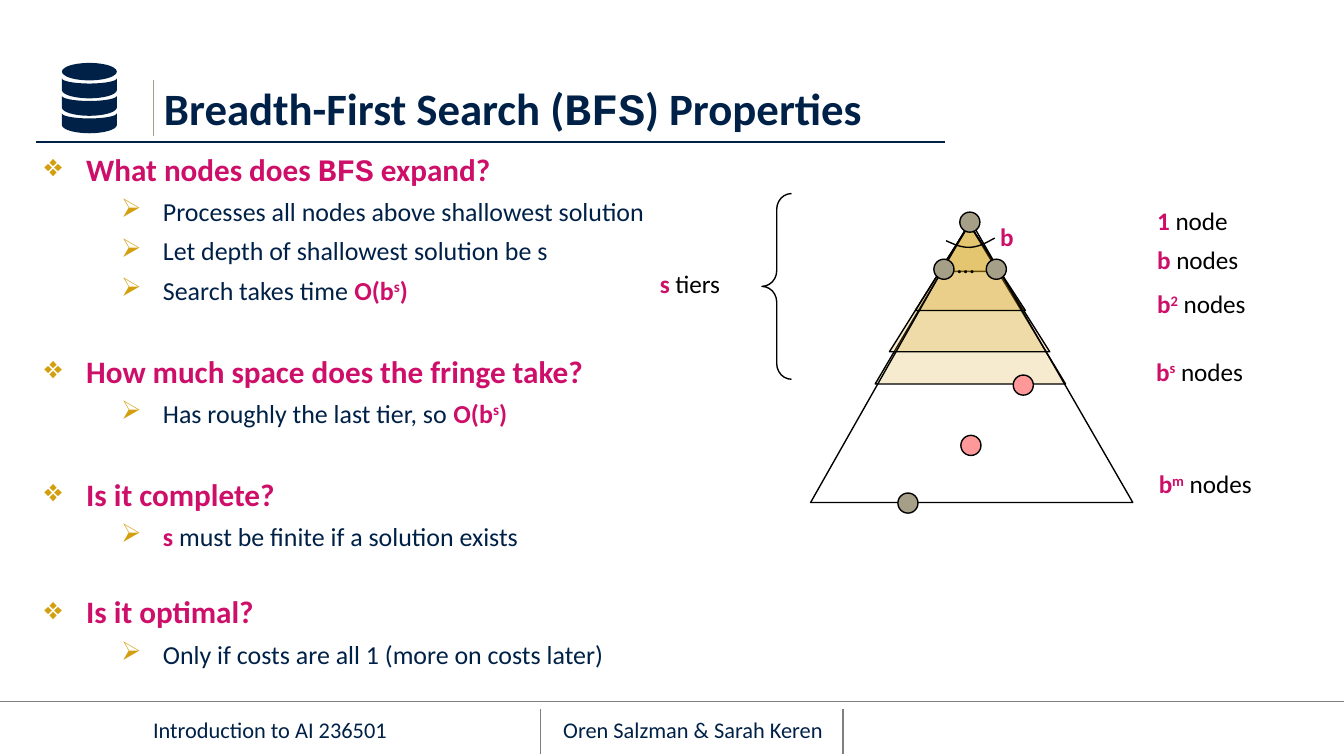
from math import cos, pi, sin

from lxml import etree
from pptx import Presentation
from pptx.dml.color import RGBColor
from pptx.enum.shapes import MSO_CONNECTOR, MSO_SHAPE
from pptx.enum.text import MSO_ANCHOR, PP_ALIGN
from pptx.oxml.ns import qn
from pptx.util import Cm, Pt

STRAIGHT = MSO_CONNECTOR.STRAIGHT
RECTANGLE, OVAL, BRACE = MSO_SHAPE.RECTANGLE, MSO_SHAPE.OVAL, MSO_SHAPE.LEFT_BRACE
TOP, MIDDLE, BOTTOM = MSO_ANCHOR.TOP, MSO_ANCHOR.MIDDLE, MSO_ANCHOR.BOTTOM
LEFT, CENTER = PP_ALIGN.LEFT, PP_ALIGN.CENTER

NAVY, PINK, GOLD, STONE, ROSE = "002147", "CE0F69", "D49F0F", "A69F88", "FF9999"
BLACK, WHITE, GRAY = "000000", "FFFFFF", "7F7F7F"
FONT, CODE_FONT, BULLET_FONT = "Calibri", "Courier New", "OpenSymbol"
LABEL_INSETS = (0.18, 0.1, 0.18, 0.1)

BODY = [
    ("❖", 0, [("What nodes does ", ""), ("BFS", "code"), (" expand?", "")]),
    ("➢", 6, [("Processes all nodes above shallowest solution", "")]),
    ("➢", 6, [("Let depth of shallowest solution be s", "")]),
    ("➢", 6, [("Search takes time ", ""), ("O(b", "key"), ("s", "power"), (")", "key")]),
    ("❖", 27, [("How much space does the fringe take?", "")]),
    ("➢", 6, [("Has roughly the last tier, so ", ""), ("O(b", "key"), ("s", "power"), (")", "key")]),
    ("❖", 27, [("Is it complete?", "")]),
    ("➢", 6, [("s", "key"), (" must be finite if a solution exists", "")]),
    ("❖", 24, [("Is it optimal?", "")]),
    ("➢", 6, [("Only if costs are all 1 (more on costs later)", "")]),
]

LABELS = [
    (17.91, 4.6, 0.58, [("…", "")]),
    (18.72, 4.09, 0.61, [("b", "key")]),
    (21.69, 3.78, 2.34, [("1", "key"), (" node", "")]),
    (21.69, 4.52, 2.34, [("b", "key"), (" nodes", "")]),
    (21.69, 5.36, 2.34, [("b", "key"), ("2", "power"), (" nodes", "")]),
    (21.67, 6.63, 3.05, [("b", "key"), ("s", "power"), (" nodes", "")]),
    (21.72, 8.76, 3.05, [("b", "key"), ("m", "power"), (" nodes", "")]),
    (12.29, 4.98, 2.64, [("s", "key"), (" tiers", "")]),
]

TIERS = [(17.75, 18.9, 5.13), (16.54, 20.14, 7.26), (16.81, 19.84, 6.65), (17.3, 19.38, 5.87)]
NODES = [
    (18.14, 4.01, STONE), (17.65, 4.9, STONE), (18.64, 4.9, STONE),
    (16.97, 9.32, STONE), (19.15, 7.09, ROSE), (18.16, 8.23, ROSE),
]


def rgb(color):
    return RGBColor.from_string(color)


def paint(shape, fill=None, line=None, opacity=None):
    shape.shadow.inherit = False
    if fill:
        shape.fill.solid()
        shape.fill.fore_color.rgb = rgb(fill)
        if opacity:
            color = shape.fill._xPr.find(qn("a:solidFill"))[0]
            etree.SubElement(color, qn("a:alpha"), val=str(opacity * 1000))
    else:
        shape.fill.background()
    if line:
        shape.line.color.rgb = rgb(line)
        shape.line.width = Pt(0.75)
    else:
        shape.line.fill.background()


def add_preset(slide, kind, left, top, width, height, **look):
    shape = slide.shapes.add_shape(kind, Cm(left), Cm(top), Cm(width), Cm(height))
    paint(shape, **look)
    return shape


def add_outline(slide, points, close=True, **look):
    corners = [(Cm(x), Cm(y)) for x, y in points]
    builder = slide.shapes.build_freeform(*corners[0])
    builder.add_line_segments(corners[1:], close=close)
    paint(builder.convert_to_shape(), **look)


def add_rule(slide, start, end, color, weight=0.75):
    rule = slide.shapes.add_connector(STRAIGHT, *map(Cm, start + end))
    rule.line.color.rgb = rgb(color)
    rule.line.width = Pt(weight)
    etree.SubElement(rule._element.spPr, qn("a:effectLst"))


def add_box(slide, left, top, width, height, anchor=TOP, insets=(0, 0, 0, 0)):
    frame = slide.shapes.add_textbox(Cm(left), Cm(top), Cm(width), Cm(height)).text_frame
    frame.word_wrap = True
    frame.vertical_anchor = anchor
    frame.margin_left, frame.margin_top, frame.margin_right, frame.margin_bottom = map(Cm, insets)
    return frame


def write(paragraph, spans, size, color, bold=False, align=LEFT):
    paragraph.alignment = align
    font = paragraph.font
    font.name, font.size, font.bold = FONT, Pt(size), bold
    font.color.rgb = rgb(color)
    for text, role in spans:
        run = paragraph.add_run()
        run.text = text
        if role == "code":
            run.font.name = CODE_FONT
        elif role:
            run.font.bold = True
            run.font.color.rgb = rgb(PINK)
        if role == "power":
            run._r.get_or_add_rPr().set("baseline", "30000")


def add_bullet(paragraph, mark, indent):
    properties = paragraph._p.get_or_add_pPr()
    properties.set("marL", str(Cm(indent)))
    properties.set("indent", str(Cm(-0.79)))
    color = etree.SubElement(properties, qn("a:buClr"))
    etree.SubElement(color, qn("a:srgbClr"), val=GOLD)
    etree.SubElement(properties, qn("a:buFont"), typeface=BULLET_FONT)
    etree.SubElement(properties, qn("a:buChar"), char=mark)


def add_body(slide):
    frame = add_box(slide, 0.84, 2.92, 12.93, 9.86)
    for index, (mark, gap, spans) in enumerate(BODY):
        paragraph = frame.add_paragraph() if index else frame.paragraphs[0]
        heading = mark == "❖"
        paragraph.level = 0 if heading else 1
        add_bullet(paragraph, mark, 0.79 if heading else 2.24)
        paragraph.line_spacing = 0.9
        paragraph.space_before = Pt(gap)
        if heading:
            write(paragraph, spans, 16.7, PINK, bold=True)
        else:
            write(paragraph, spans, 13.9, NAVY)


def half_ellipse(center_x, center_y, radius_x, radius_y, steps=24):
    angles = [pi * step / steps for step in range(steps + 1)]
    return [(center_x + radius_x * cos(a), center_y + radius_y * sin(a)) for a in angles]


def add_database_icon(slide):
    center, radius = 1.69, 0.52
    add_preset(slide, OVAL, center - radius, 1.19, 2 * radius, 0.33, fill=NAVY)
    for band in range(3):
        top = 1.48 + 0.33 * band
        upper = half_ellipse(center, top, radius, 0.1)
        lower = half_ellipse(center, top + 0.22, radius, 0.16)
        add_outline(slide, upper + lower[::-1], fill=NAVY)


def add_frame(slide):
    add_preset(slide, RECTANGLE, 0, 13.26, 25.4, 1.02, fill=WHITE, opacity=84)
    add_rule(slide, (17.86, 2.69), (0.69, 2.69), NAVY, 1)
    add_rule(slide, (25.4, 13.26), (0, 13.26), GRAY)
    add_rule(slide, (2.9, 2.57), (2.9, 1.52), STONE, 1)
    for x in (10.21, 15.93):
        add_rule(slide, (x, 14.25), (x, 13.41), GRAY)
    course = add_box(slide, 0, 13.34, 10.21, 0.91, MIDDLE)
    write(course.paragraphs[0], [("Introduction to AI 236501", "")], 12, NAVY, align=CENTER)
    authors = add_box(slide, 10.24, 13.28, 5.72, 1.02, MIDDLE)
    write(authors.paragraphs[0], [("Oren Salzman & Sarah Keren", "")], 12, NAVY, align=CENTER)


def add_title(slide):
    title = add_box(slide, 3.1, 0.66, 21.67, 2.03, BOTTOM, (0, 0, 0, 0.13)).paragraphs[0]
    title.line_spacing = 0.9
    spans = [("Breadth-First Search (", ""), ("BFS", "code"), (") Properties", "")]
    write(title, spans, 24, NAVY, bold=True)


def add_search_tree(slide):
    for left, right, bottom in TIERS:
        triangle = [(18.32, 4.24), (left, bottom), (right, bottom)]
        add_outline(slide, triangle, fill=GOLD, opacity=20, line=BLACK)
    add_outline(slide, [(15.32, 9.5), (21.41, 9.5), (18.34, 4.17)], line=BLACK)
    for left, top, color in NODES:
        add_preset(slide, OVAL, left, top, 0.38, 0.38, fill=color, line=BLACK)
    steps = [step / 12 for step in range(13)]
    branching = [(17.88 + 0.92 * t, 4.55 - 0.05 * t + 0.15 * sin(pi * t)) for t in steps]
    add_outline(slide, branching, close=False, line=BLACK)
    brace = add_preset(slide, BRACE, 14.4, 3.66, 0.56, 3.51, line=BLACK)
    brace.adjustments[0] = 0.53
    for left, top, width, spans in LABELS:
        label = add_box(slide, left, top, width, 0.76, insets=LABEL_INSETS)
        write(label.paragraphs[0], spans, 13.5, BLACK)


def main():
    deck = Presentation()
    deck.slide_width, deck.slide_height = Cm(25.4), Cm(14.29)
    slide = deck.slides.add_slide(deck.slide_layouts[6])
    add_frame(slide)
    add_title(slide)
    add_body(slide)
    add_search_tree(slide)
    add_database_icon(slide)
    deck.save("out.pptx")


if __name__ == "__main__":
    main()
